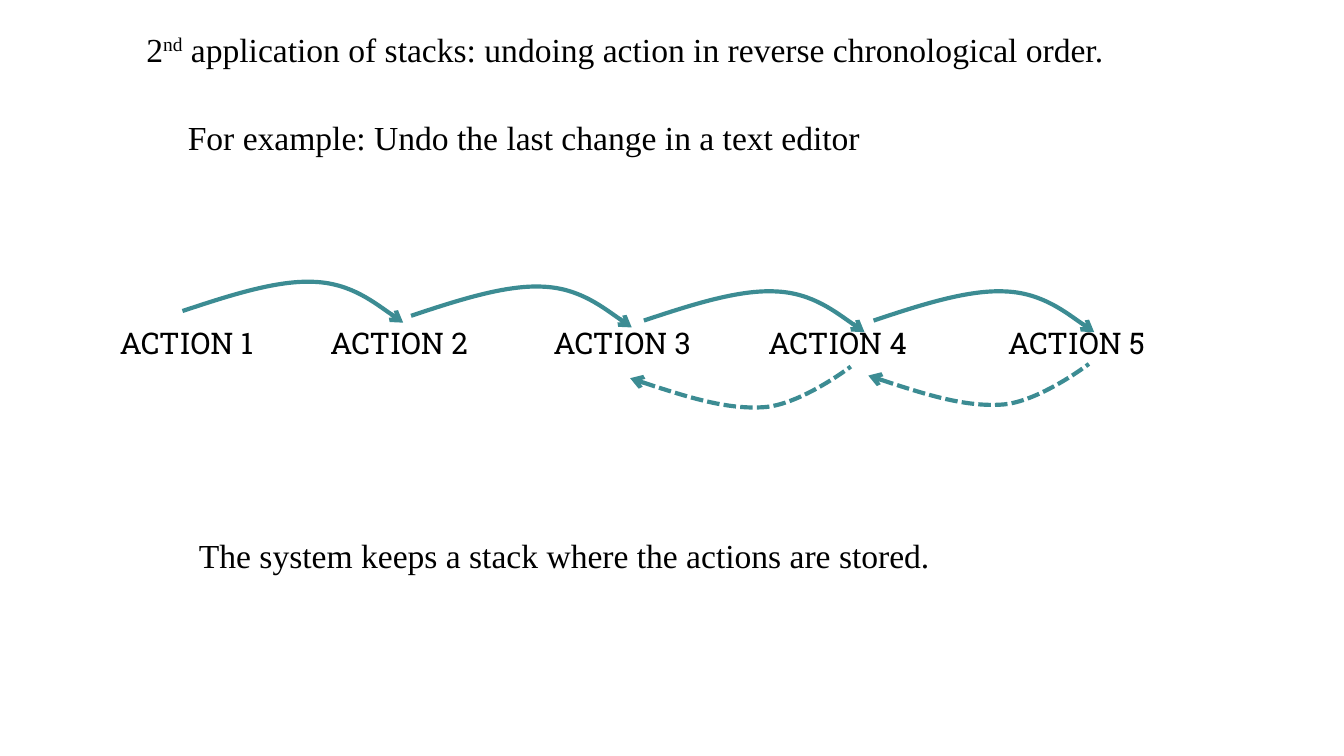
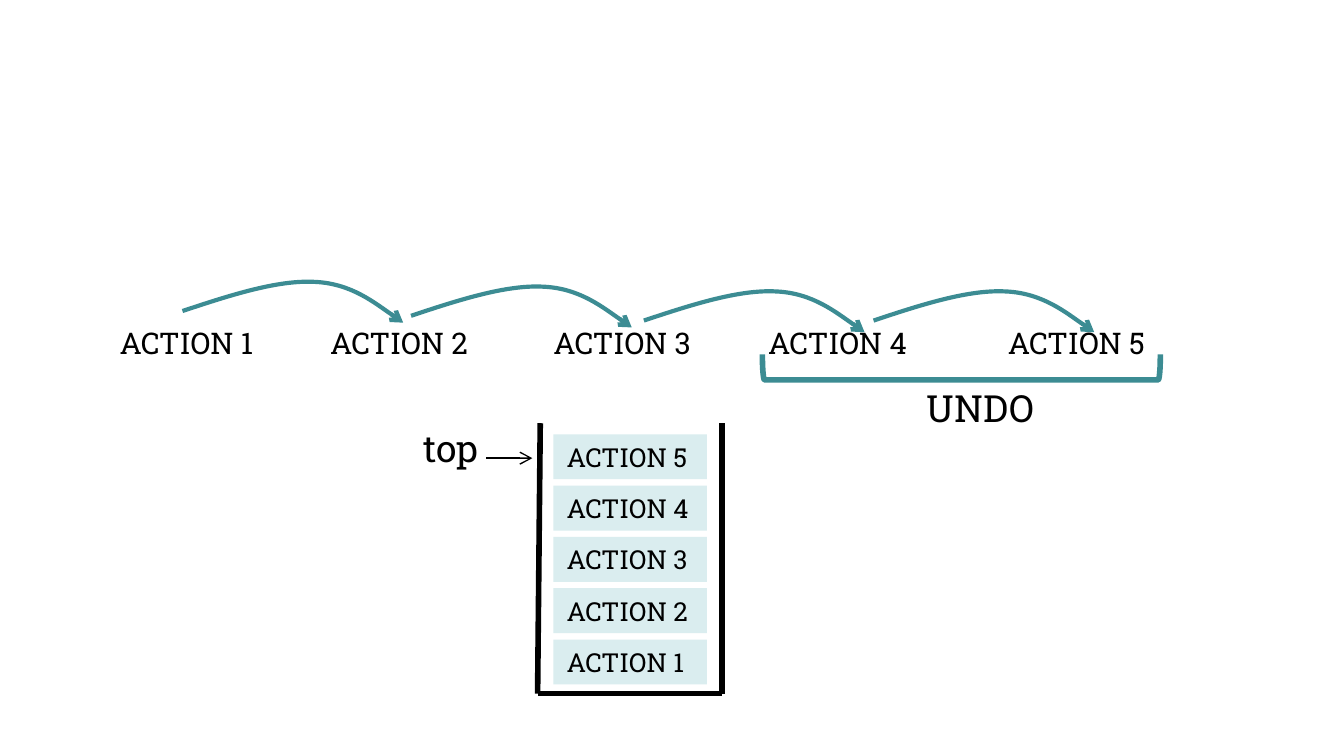
from lxml.etree import SubElement
from pptx import Presentation
from pptx.dml.color import RGBColor
from pptx.enum.dml import MSO_LINE
from pptx.enum.shapes import MSO_CONNECTOR, MSO_SHAPE
from pptx.enum.text import MSO_ANCHOR, MSO_AUTO_SIZE, PP_ALIGN
from pptx.oxml.ns import qn
from pptx.util import Cm, Pt

COLORS = {"ink": "000000", "teal": "3C8C93", "pale": "DAEDEF"}
SLAB, SERIF = "Roboto Slab", "Times New Roman"
TITLE_ONLY, BLANK = 5, 6

ACTIONS = [f"ACTION {number}" for number in range(1, 6)]
ACTION_LEFTS = [2.01, 5.99, 10.21, 14.27, 18.8]
STEP_STARTS = [(3.45, 5.31), (7.77, 5.4), (12.17, 5.49), (16.51, 5.49)]
UNDO_STARTS = [(16.41, 6.88), (11.91, 6.93)]

# Start point, then three Bézier points for each half of an arc
ARC = [(0, 0.57), (0.9, 0.27), (1.8, -0.02), (2.5, 0.02),
       (3.2, 0.05), (4.17, 0.79), (4.17, 0.79)]
ARC_HEIGHT = 0.79


def rgb(name):
    return RGBColor.from_string(COLORS[name])


class Deck:
    def __init__(self):
        self.presentation = Presentation()
        self.presentation.slide_width = Cm(25.4)
        self.presentation.slide_height = Cm(14.29)
        self.slide = None

    def new_slide(self, layout):
        layouts = self.presentation.slide_layouts
        self.slide = self.presentation.slides.add_slide(layouts[layout])

    def fill_text(self, frame, text, size, font):
        """Fill a frame with one left-aligned line; '^' encloses a superscript."""
        paragraph = frame.paragraphs[0]
        paragraph.alignment = PP_ALIGN.LEFT
        paragraph.font.size = Pt(size)
        paragraph.font.name = font
        paragraph.font.color.rgb = rgb("ink")
        for index, part in enumerate(text.split("^")):
            run = paragraph.add_run()
            run.text = part
            if index % 2:
                run._r.get_or_add_rPr().set("baseline", "30000")

    def title(self, text, left, top, width, height):
        heading = self.slide.shapes.title
        heading.left, heading.top = Cm(left), Cm(top)
        heading.width, heading.height = Cm(width), Cm(height)
        frame = heading.text_frame
        frame.word_wrap = False
        frame.auto_size = MSO_AUTO_SIZE.NONE
        frame.vertical_anchor = MSO_ANCHOR.TOP
        self.fill_text(frame, text, 18, SERIF)

    def text(self, text, left, top, width, height, size, font=SLAB, wrap=True):
        box = self.slide.shapes.add_textbox(Cm(left), Cm(top), Cm(width), Cm(height))
        box.text_frame.word_wrap = wrap
        self.fill_text(box.text_frame, text, size, font)

    def sentence(self, text, left, top, width):
        self.text(text, left, top, width, 1.02, 18, SERIF, wrap=False)

    def cell(self, text, left, top, width, height):
        box = self.slide.shapes.add_shape(
            MSO_SHAPE.RECTANGLE, Cm(left), Cm(top), Cm(width), Cm(height))
        box.shadow.inherit = False
        box.fill.solid()
        box.fill.fore_color.rgb = rgb("pale")
        box.line.fill.background()
        box.text_frame.vertical_anchor = MSO_ANCHOR.MIDDLE
        self.fill_text(box.text_frame, text, 14, SLAB)

    def stroke(self, shape, color, width, arrow_end=None):
        """Style a line; arrow_end is 'headEnd' (start) or 'tailEnd' (finish)."""
        shape.line.color.rgb = rgb(color)
        shape.line.width = Pt(width)
        if arrow_end:
            line = shape.line._get_or_add_ln()
            SubElement(line, qn(f"a:{arrow_end}"), type="arrow")

    def line(self, start, end, width, arrow_end=None):
        connector = self.slide.shapes.add_connector(
            MSO_CONNECTOR.STRAIGHT, *map(Cm, start + end))
        self.stroke(connector, "ink", width, arrow_end)
        SubElement(connector._element.spPr, qn("a:effectLst"))

    def arc(self, left, top, undo=False):
        """Draw a solid arc forwards, or a dashed one below that points back."""
        points = [(Cm(left + x), Cm(top + (ARC_HEIGHT - y if undo else y)))
                  for x, y in ARC]
        builder = self.slide.shapes.build_freeform(*points[0])
        builder.add_line_segments(points[1:], close=False)
        curve = builder.convert_to_shape()
        outline = curve._element.find(".//" + qn("a:path"))
        segments = outline.findall(qn("a:lnTo"))
        for first in range(0, len(segments), 3):
            bezier = SubElement(outline, qn("a:cubicBezTo"))
            for segment in segments[first:first + 3]:
                bezier.append(segment[0])
                outline.remove(segment)
        curve.shadow.inherit = False
        curve.fill.background()
        if undo:
            curve.line.dash_style = MSO_LINE.SQUARE_DOT
        self.stroke(curve, "teal", 2.25, "headEnd" if undo else "tailEnd")

    def bracket(self, left, top, width, height):
        bracket = self.slide.shapes.add_shape(
            MSO_SHAPE.LEFT_BRACKET, Cm(left), Cm(top), Cm(width), Cm(height))
        bracket.rotation = 270
        bracket.shadow.inherit = False
        bracket.fill.background()
        self.stroke(bracket, "teal", 3)

    def timeline(self):
        for action, left in zip(ACTIONS, ACTION_LEFTS):
            self.text(action, left, 6.02, 3.35, 1.22, 16)
        for start in STEP_STARTS:
            self.arc(*start)

    def stack(self):
        top, bottom, right = 8, 13.11, 13.64
        self.line((10.21, top), (10.16, bottom), 3)
        self.line((right, top), (right, bottom), 3)
        self.line((right, bottom), (10.16, bottom), 3)
        for level, action in enumerate(reversed(ACTIONS)):
            self.cell(action, 10.46, 8.21 + 0.97 * level, 2.9, 0.85)
        self.line((9.19, 8.66), (10.06, 8.66), 0.75, "tailEnd")
        self.text("top", 7.75, 7.92, 1.8, 1.22, 20)


def main():
    deck = Deck()

    deck.new_slide(TITLE_ONLY)
    deck.title("2^nd^ application of stacks: undoing action in reverse "
               "chronological order.", 2.51, 0.41, 18.75, 1.02)
    deck.sentence("For example: Undo the last change in a text editor", 3.3, 2.08, 13.36)
    deck.timeline()
    for start in UNDO_STARTS:
        deck.arc(*start, undo=True)
    deck.sentence("The system keeps a stack where the actions are stored.",
                  3.51, 9.98, 14.63)

    deck.new_slide(BLANK)
    deck.timeline()
    deck.stack()
    deck.bracket(17.93, 3.18, 0.48, 7.52)
    deck.text("UNDO", 17.27, 7.16, 3.38, 1.22, 20)

    deck.presentation.save("out.pptx")


if __name__ == "__main__":
    main()
